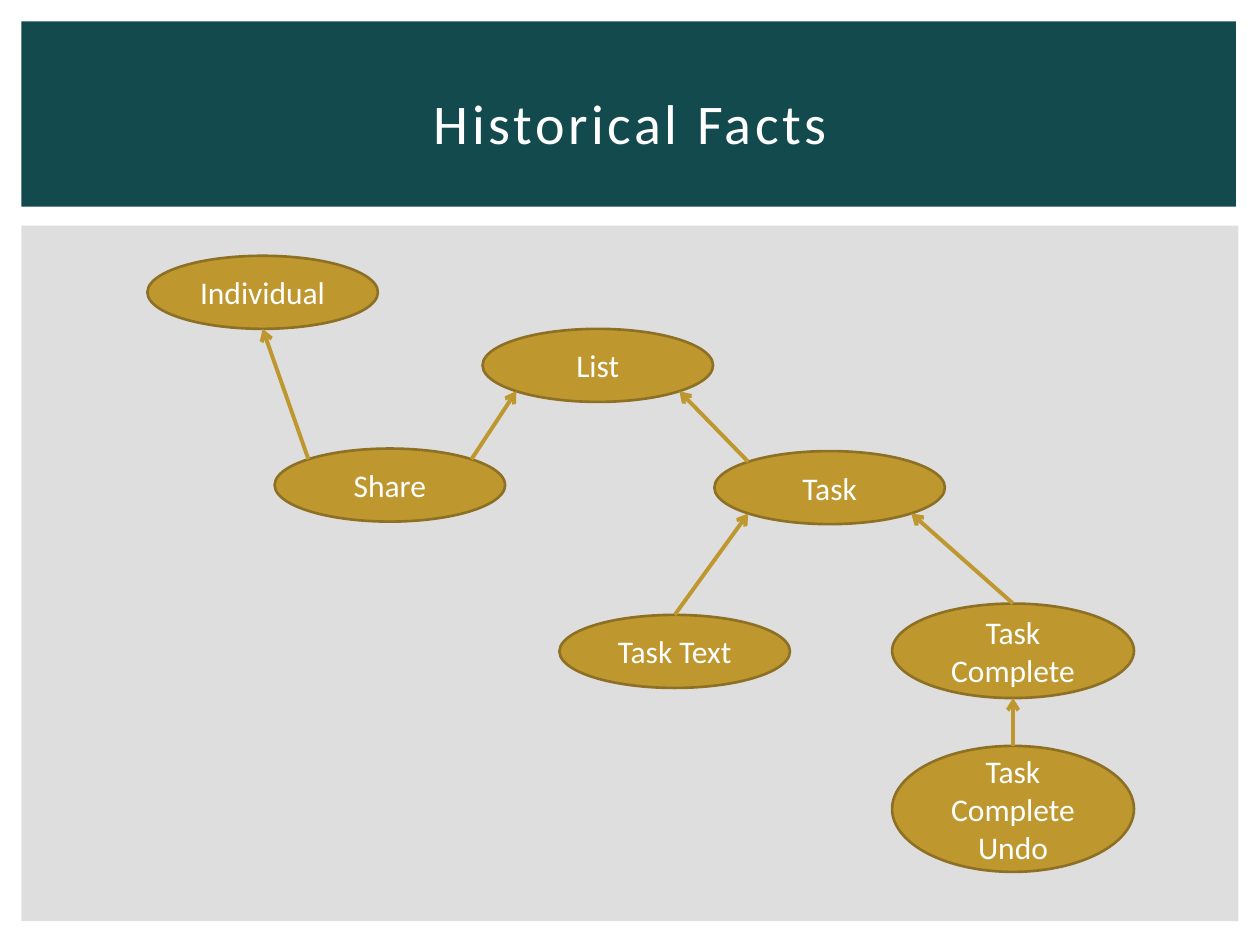
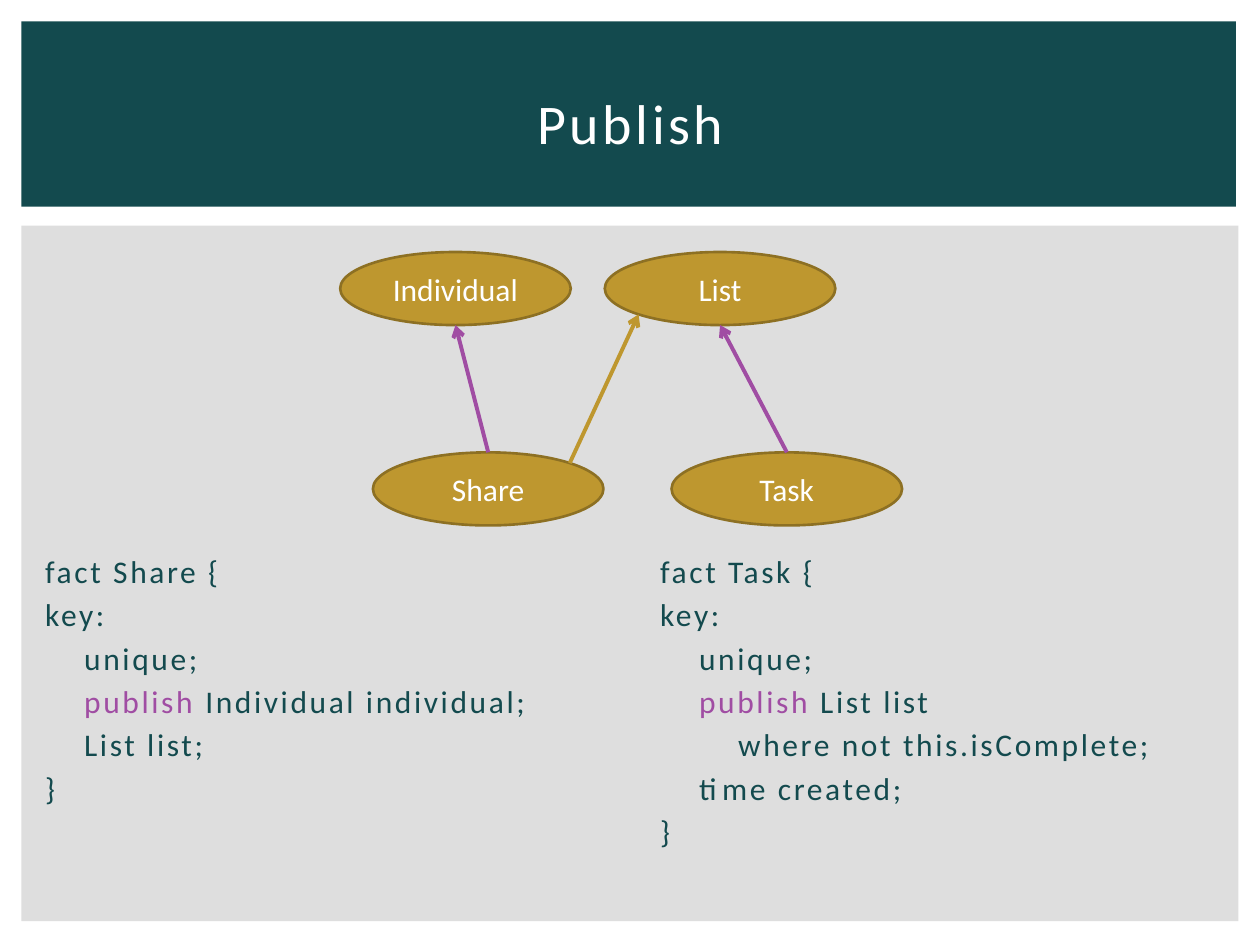
import math

import pptx
import pptx.dml.color
import pptx.enum.shapes
import pptx.enum.text
import pptx.oxml.ns
import pptx.util
from lxml import etree

Inches = pptx.util.Inches
Pt = pptx.util.Pt
RGBColor = pptx.dml.color.RGBColor
SHAPE = pptx.enum.shapes.MSO_SHAPE
qn = pptx.oxml.ns.qn

WHITE = RGBColor(0xFF, 0xFF, 0xFF)
PANEL_GREY = RGBColor(0xDE, 0xDE, 0xDE)
TEAL = RGBColor(0x13, 0x4A, 0x4E)
GOLD = RGBColor(0xBE, 0x97, 0x2F)
DARK_GOLD = RGBColor(0x8D, 0x70, 0x23)
PURPLE = RGBColor(0xA0, 0x4D, 0xA3)
FONT = "Calibri"

BANDS = [
    ((0.17, 1.79, 9.66, 5.52), PANEL_GREY),
    ((0.17, 0.17, 9.64, 1.47), TEAL),
]
FACT_SIZE = (1.83, 0.58)

# Connection sites of an ellipse run counter-clockwise in steps of 45 degrees.
TOP, TOP_LEFT, BOTTOM_LEFT, BOTTOM, BOTTOM_RIGHT, TOP_RIGHT = 0, 1, 3, 4, 5, 7

# Each fact: name, left, top, size. Each link: fact, site, earlier fact, site, colour.
SLIDES = [
    {
        "title": "Historical Facts",
        "facts": [
            ("Individual", 1.17, 2.03, FACT_SIZE),
            ("Share", 2.18, 3.56, FACT_SIZE),
            ("List", 3.83, 2.61, FACT_SIZE),
            ("Task", 5.67, 3.58, FACT_SIZE),
            ("Task Text", 4.44, 4.88, FACT_SIZE),
            ("Task Complete", 7.08, 4.79, (1.92, 0.75)),
            ("Task Complete Undo", 7.08, 5.92, (1.92, 1)),
        ],
        "links": [
            ("Share", TOP_LEFT, "Individual", BOTTOM, GOLD),
            ("Share", TOP_RIGHT, "List", BOTTOM_LEFT, GOLD),
            ("Task", TOP_LEFT, "List", BOTTOM_RIGHT, GOLD),
            ("Task Text", TOP, "Task", BOTTOM_LEFT, GOLD),
            ("Task Complete", TOP, "Task", BOTTOM_RIGHT, GOLD),
            ("Task Complete Undo", TOP, "Task Complete", BOTTOM, GOLD),
        ],
        "listings": [],
    },
    {
        "title": "Publish",
        "facts": [
            ("Individual", 2.7, 2, FACT_SIZE),
            ("Share", 2.96, 3.59, FACT_SIZE),
            ("List", 4.8, 2, FACT_SIZE),
            ("Task", 5.33, 3.59, FACT_SIZE),
        ],
        "links": [
            ("Share", TOP, "Individual", BOTTOM, PURPLE),
            ("Share", TOP_RIGHT, "List", BOTTOM_LEFT, GOLD),
            ("Task", TOP, "List", BOTTOM, PURPLE),
        ],
        # Each listing: left, then lines of indent level and coloured runs.
        "listings": [
            (0.21, [
                (0, [("fact Share {", TEAL)]),
                (0, [("key:", TEAL)]),
                (1, [("unique;", TEAL)]),
                (1, [("publish", PURPLE), (" Individual individual;", TEAL)]),
                (1, [("List list;", TEAL)]),
                (0, [("}", TEAL)]),
            ]),
            (5.09, [
                (0, [("fact Task {", TEAL)]),
                (0, [("key:", TEAL)]),
                (1, [("unique;", TEAL)]),
                (1, [("publish", PURPLE), (" List list", TEAL)]),
                (2, [("where not this.isComplete;", TEAL)]),
                (1, [("time created;", TEAL)]),
                (0, [("}", TEAL)]),
            ]),
        ],
    },
]


def add_span(para, text, size, color, spacing=0):
    """Add one run; spacing is the letter spacing in points."""
    span = para.add_run()
    span.text = text
    span.font.name = FONT
    span.font.size = Pt(size)
    span.font.bold = False
    span.font.color.rgb = color
    if spacing:
        span.font._element.set("spc", str(int(spacing * 100)))


def site_point(oval, site):
    """Return the place of a connection site on an ellipse."""
    angle = math.radians(45 * site)
    x = oval.left + oval.width / 2 * (1 - math.sin(angle))
    y = oval.top + oval.height / 2 * (1 - math.cos(angle))
    return round(x), round(y)


deck = pptx.Presentation()
deck.slide_width = Inches(10)
deck.slide_height = Inches(7.5)

for content in SLIDES:
    slide = deck.slides.add_slide(deck.slide_layouts[5])
    title = slide.shapes.title

    for place, color in BANDS:
        band = slide.shapes.add_shape(SHAPE.RECTANGLE, *map(Inches, place))
        band.shadow.inherit = False
        band.fill.solid()
        band.fill.fore_color.rgb = color
        band.line.fill.background()
        title.element.addprevious(band.element)

    title.left, title.top, title.width, title.height = map(Inches, (0.42, 0.39, 9.17, 1.15))
    title.text_frame.auto_size = pptx.enum.text.MSO_AUTO_SIZE.NONE
    title.text_frame.vertical_anchor = pptx.enum.text.MSO_ANCHOR.MIDDLE
    para = title.text_frame.paragraphs[0]
    para.alignment = pptx.enum.text.PP_ALIGN.CENTER
    add_span(para, content["title"], 32, WHITE, 2)

    ovals = {}
    for name, left, top, size in content["facts"]:
        oval = slide.shapes.add_shape(SHAPE.OVAL, *map(Inches, (left, top, *size)))
        oval.shadow.inherit = False
        oval.fill.solid()
        oval.fill.fore_color.rgb = GOLD
        oval.line.color.rgb = DARK_GOLD
        oval.line.width = Pt(1.5)
        oval.text_frame.word_wrap = True
        oval.text_frame.vertical_anchor = pptx.enum.text.MSO_ANCHOR.MIDDLE
        para = oval.text_frame.paragraphs[0]
        para.alignment = pptx.enum.text.PP_ALIGN.CENTER
        add_span(para, name, 18, WHITE)
        ovals[name] = oval

    for fact, fact_site, earlier, earlier_site, color in content["links"]:
        ends = [("a:stCxn", ovals[fact], fact_site), ("a:endCxn", ovals[earlier], earlier_site)]
        start, finish = [site_point(oval, site) for _, oval, site in ends]
        arrow = slide.shapes.add_connector(
            pptx.enum.shapes.MSO_CONNECTOR.STRAIGHT, *start, *finish)
        arrow.line.color.rgb = color
        arrow.line.width = Pt(2.25)
        properties = arrow.element.spPr
        etree.SubElement(properties.find(qn("a:ln")), qn("a:tailEnd"), type="arrow")
        etree.SubElement(properties, qn("a:effectLst"))
        joints = arrow.element.find(".//" + qn("p:cNvCxnSpPr"))
        for tag, oval, site in ends:
            etree.SubElement(joints, qn(tag), id=str(oval.shape_id), idx=str(site))

    for left, lines in content["listings"]:
        box = slide.shapes.add_textbox(*map(Inches, (left, 4.33, 4.58, 2.67)))
        box.text_frame.word_wrap = True
        for number, (level, spans) in enumerate(lines):
            para = box.text_frame.add_paragraph() if number else box.text_frame.paragraphs[0]
            para.space_before = Pt(3.2)
            para._p.get_or_add_pPr().set("marL", str(Inches(0.05 + 0.31 * level)))
            for text, color in spans:
                add_span(para, text, 18, color, 1.5)

deck.save("out.pptx")
